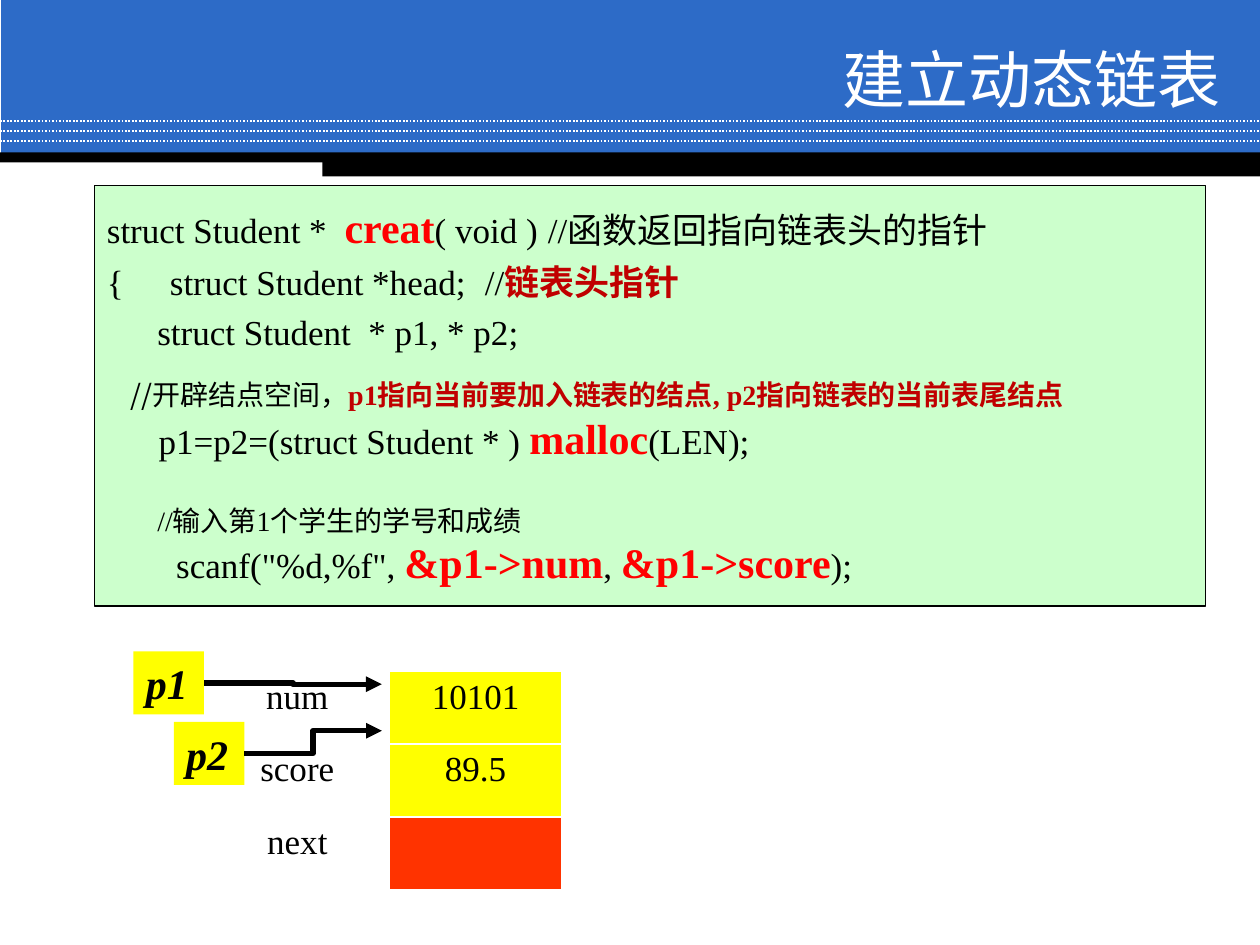
from lxml import etree
from pptx import Presentation
from pptx.dml.color import RGBColor
from pptx.enum.dml import MSO_LINE
from pptx.enum.shapes import MSO_CONNECTOR, MSO_SHAPE
from pptx.enum.text import MSO_ANCHOR, PP_ALIGN
from pptx.oxml.ns import qn
from pptx.util import Inches, Pt

RECT = MSO_SHAPE.RECTANGLE
LINE, ELBOW = MSO_CONNECTOR.STRAIGHT, MSO_CONNECTOR.ELBOW
DOT = MSO_LINE.ROUND_DOT
TOP, MIDDLE = MSO_ANCHOR.TOP, MSO_ANCHOR.MIDDLE
LEFT, CENTER, RIGHT = PP_ALIGN.LEFT, PP_ALIGN.CENTER, PP_ALIGN.RIGHT
SERIF, SANS, HAN = "Times New Roman", "Arial", "Noto Sans CJK SC"
BLACK, WHITE, RED, DARK = "000000", "FFFFFF", "FF0000", "C00000"
YELLOW = "FFFF00"

KEY = (24, RED, True)
CODE = (20, BLACK, False)
NOTE = (16, BLACK, False)
# Each line: indent, space before, line spacing, tab stops, runs
LINES = [
    (0, 0, 1.2, [3.63], [("struct Student *  ", CODE), ("creat", KEY),
                         ("( void )\t//函数返回指向链表头的指针", CODE)]),
    (0, 0, 1.2, [0.4, 2.95], [("{\tstruct Student *head;\t//", CODE),
                              ("链表头指针", (20, DARK, True))]),
    (0.4, 0, 1.2, [], [("struct Student  * p1, * p2;", CODE)]),
    (0.19, 14, 1, [], [("//开辟结点空间，", NOTE),
                       ("p1指向当前要加入链表的结点, p2指向链表的当前表尾结点",
                        (16, DARK, True))]),
    (0.41, 1, 1, [], [("p1=p2=(struct Student * ) ", CODE), ("malloc", KEY),
                      ("(LEN);", CODE)]),
    (0.4, 23, 1, [], [("//输入第1个学生的学号和成绩", NOTE)]),
    (0.55, 0, 1, [], [('scanf("%d,%f", ', CODE), ("&p1->num", KEY),
                      (", ", CODE), ("&p1->score", KEY), (");", CODE)]),
]
FIELDS = [("num", "10101", YELLOW), ("score", "89.5", YELLOW),
          ("next", "", "FF3300")]


def tint(code):
    """Turn a hex string into a colour."""
    return RGBColor.from_string(code)


def style(font, size, color, bold=False, name=SERIF):
    """Set the look of a font."""
    font.name, font.size, font.bold = name, Pt(size), bold
    font.color.rgb = tint(color)


def block(slide, box, fill, edge=None):
    """Add a filled rectangle, with a thin edge if one is named."""
    shape = slide.shapes.add_shape(RECT, *map(Inches, box))
    shape.shadow.inherit = False
    shape.fill.solid()
    shape.fill.fore_color.rgb = tint(fill)
    if edge:
        shape.line.color.rgb = tint(edge)
        shape.line.width = Pt(0.75)
    else:
        shape.line.fill.background()
    return shape


def link(slide, kind, start, end, color, width):
    """Add a connector without a shadow."""
    line = slide.shapes.add_connector(kind, *map(Inches, start + end))
    line.line.color.rgb = tint(color)
    line.line.width = Pt(width)
    etree.SubElement(line.element.spPr, qn("a:effectLst"))
    return line


def header(slide, box, text):
    """Draw the banner and set the title on it."""
    x, y, w, h = box
    block(slide, (x + 0.01, y, w - 0.01, h), "2D6BC7")
    for i in range(3):
        row = y + 0.96 + 0.08 * i
        link(slide, LINE, (x, row), (x + w, row), WHITE, 1).line.dash_style = DOT
    block(slide, (x, y + 1.21, w, 0.08), BLACK)
    block(slide, (x + 2.56, y + 1.24, w - 2.56, 0.16), BLACK)
    title = slide.shapes.title
    title.left, title.top = Inches(x + 2.87), Inches(y + 0.33)
    title.width, title.height = Inches(6.92), Inches(0.58)
    title.text_frame.text = text
    title.text_frame.vertical_anchor = MIDDLE
    para = title.text_frame.paragraphs[0]
    para.alignment = RIGHT
    style(para.font, 36, WHITE, name=SANS)
    title.element.getparent().append(title.element)


def indent(para, left, stops):
    """Set the left margin and tab stops of a paragraph."""
    props = para._p.get_or_add_pPr()
    props.set("marL", str(Inches(left)))
    props.set("indent", "0")
    if stops:
        tabs = etree.SubElement(props, qn("a:tabLst"))
        for stop in stops:
            etree.SubElement(tabs, qn("a:tab"), pos=str(Inches(stop)), algn="l")


def listing(slide, box):
    """Fill a framed box with the lines of code."""
    frame = block(slide, box, "CCFFCC", BLACK).text_frame
    frame.word_wrap = True
    frame.vertical_anchor = TOP
    for i, (left, gap, pitch, stops, runs) in enumerate(LINES):
        para = frame.add_paragraph() if i else frame.paragraphs[0]
        para.alignment = LEFT
        para.line_spacing, para.space_before = pitch, Pt(gap)
        indent(para, left, stops)
        for text, look in runs:
            run = para.add_run()
            run.text = text
            name = HAN if text.startswith("//开") else SERIF
            style(run.font, *look, name=name)
            latin = run.font._element.find(qn("a:latin"))
            latin.addnext(etree.Element(qn("a:ea"), typeface=HAN))


def border(cell):
    """Draw white lines above and below a cell."""
    props = cell._tc.get_or_add_tcPr()
    for i, side in enumerate(("a:lnT", "a:lnB")):
        edge = etree.Element(qn(side), w=str(Pt(1)))
        fill = etree.SubElement(edge, qn("a:solidFill"))
        etree.SubElement(fill, qn("a:srgbClr"), val=WHITE)
        props.insert(i, edge)


def node(slide, box):
    """Draw the list node as a table of fields."""
    table = slide.shapes.add_table(len(FIELDS), 2, *map(Inches, box)).table
    table.first_row = table.horz_banding = False
    for col, width in zip(table.columns, (1.46, 1.37)):
        col.width = Inches(width)
    for r, (label, value, fill) in enumerate(FIELDS):
        for c, text in enumerate((label, value)):
            cell = table.cell(r, c)
            cell.text = text
            para = cell.text_frame.paragraphs[0]
            para.alignment = CENTER
            style(para.font, 20, BLACK)
            if c:
                cell.fill.solid()
                cell.fill.fore_color.rgb = tint(fill)
                border(cell)
            else:
                cell.fill.background()


def pointer(slide, box, text, end):
    """Draw a pointer tag and its bent arrow."""
    x, y, w, h = box
    frame = block(slide, box, YELLOW).text_frame
    frame.word_wrap = False
    frame.vertical_anchor = TOP
    frame.text = text
    para = frame.paragraphs[0]
    para.alignment = LEFT
    style(para.font, 24, BLACK, True)
    para.font.italic = True
    arrow = link(slide, ELBOW, (x + w, y + h / 2), end, BLACK, 3)
    etree.SubElement(arrow.line._get_or_add_ln(), qn("a:tailEnd"), type="triangle")


def main():
    """Build the slide and save it."""
    deck = Presentation()
    deck.slide_width, deck.slide_height = Inches(10), Inches(7.5)
    slide = deck.slides.add_slide(deck.slide_layouts[5])
    header(slide, (0, 0, 10, 1.23), "建立动态链表")
    listing(slide, (0.75, 1.47, 8.82, 3.34))
    node(slide, (1.63, 5.33, 2.83, 1.73))
    pointer(slide, (1.06, 5.17, 0.56, 0.5), "p1", (3.03, 5.43))
    pointer(slide, (1.38, 5.73, 0.56, 0.5), "p2", (3.03, 5.8))
    deck.save("out.pptx")


if __name__ == "__main__":
    main()
